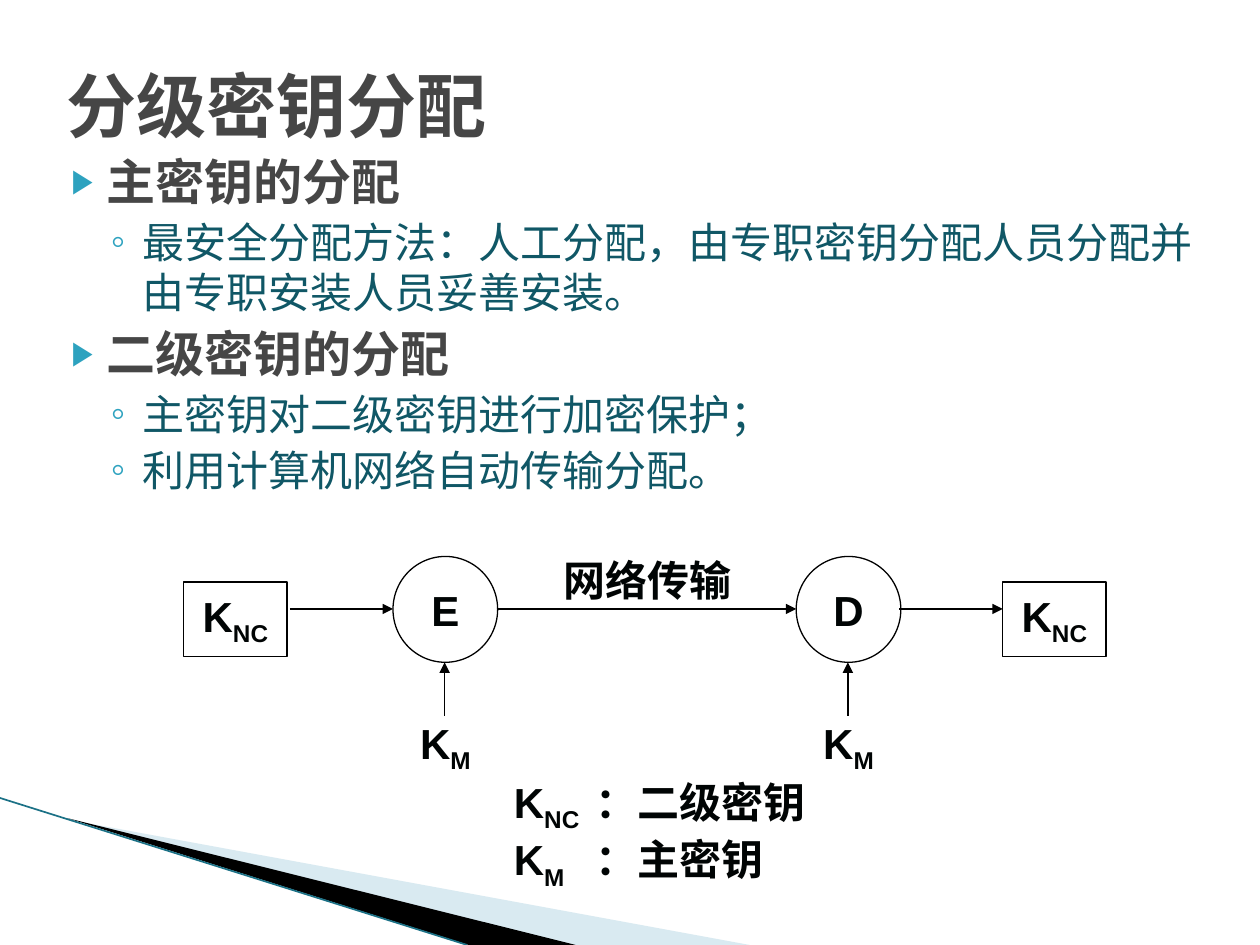
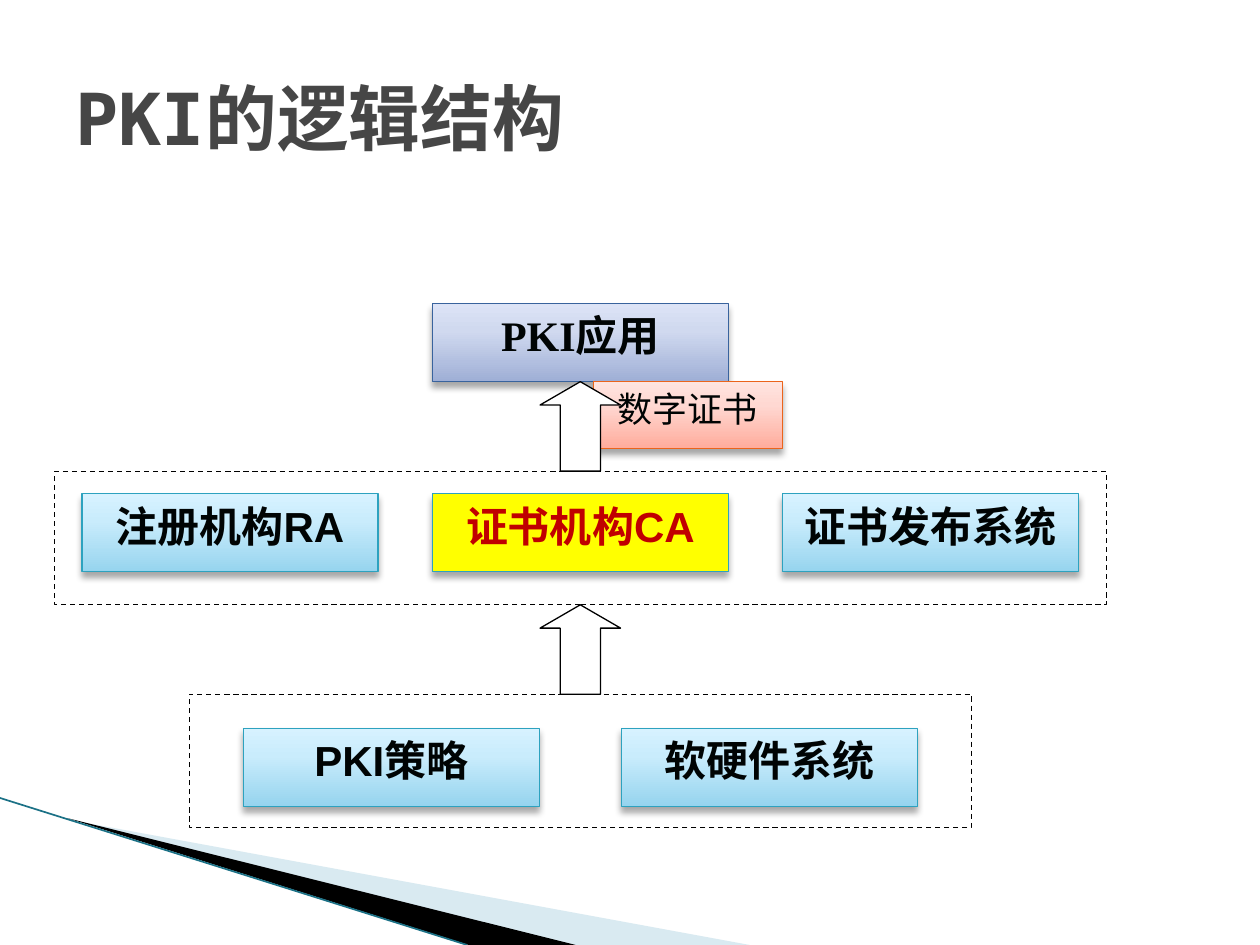
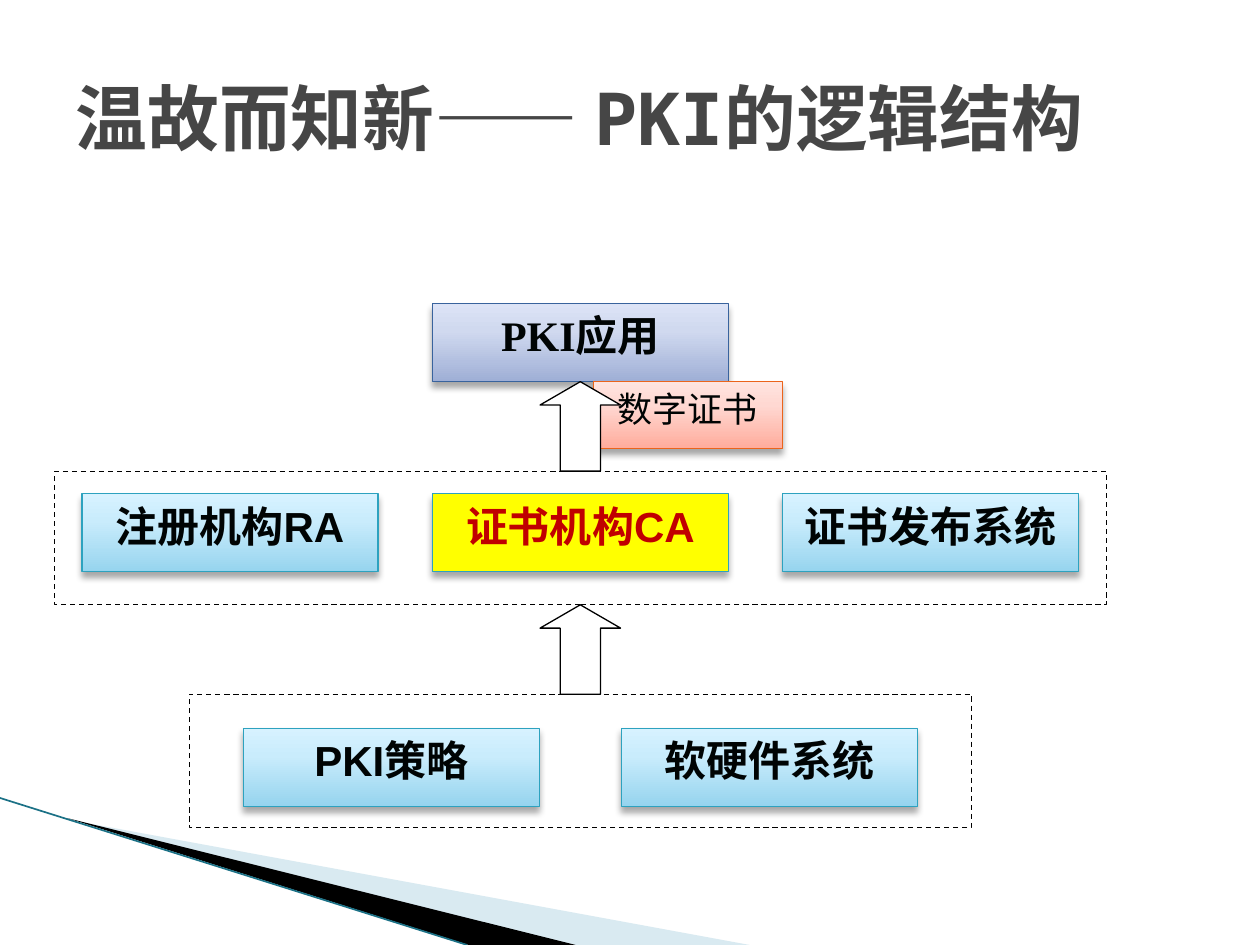
from copy import deepcopy

from lxml import etree
from pptx import Presentation
from pptx import util as u
from pptx.dml.color import RGBColor
from pptx.enum import dml, shapes, text
from pptx.oxml.ns import qn

COLORS = {
    "title": "464646", "detail": "105766", "bullet": "2DA2BF", "ink": "000404",
    "line": "000000", "white": "FFFFFF", "band": "A0CBDC", "band_edge": "1B7186",
    "highlight": "FFFF00", "highlight_text": "C00000",
    "app_line": "39639D", "certificate_line": "EB641B",
}
GRADIENTS = {
    "app": ("9FAFD6", "D0D9EF", "DCE3F6"),
    "unit": ("96D4EE", "C9ECFC", "D7F2FF"),
    "certificate": ("FFAC9C", "FFD8D2", "FFE4DF"),
}
MONO, SANS, SERIF = "DejaVu Sans Mono", "Arial", "Times New Roman"
CENTER = text.PP_ALIGN.CENTER


def rgb(name):
    """Return the named colour."""
    return RGBColor.from_string(COLORS[name])


def points(*lengths):
    """Convert numbers to lengths in points."""
    return [u.Pt(length) for length in lengths]


def add_xml(parent, tag, **attributes):
    """Append a DrawingML child element."""
    values = {name: str(value) for name, value in attributes.items()}
    return etree.SubElement(parent, qn("a:" + tag), values)


def set_font(paragraph, name, size, color="ink", bold=True):
    """Format a whole paragraph."""
    font = paragraph.font
    font.name, font.size, font.bold = name, u.Pt(size), bold
    font.color.rgb = rgb(color)


def set_line(line, color="line", width=0.75):
    """Give an outline or connector its colour and width."""
    line.color.rgb = rgb(color)
    line.width = u.Pt(width)


def write_symbol(paragraph, letter, subscript):
    """Write a letter followed by its subscript."""
    paragraph.add_run().text = letter
    run = paragraph.add_run()
    run.text = subscript
    run._r.get_or_add_rPr().set("baseline", "-25000")


def add_box(slide, kind, left, top, width, height, fill=None, line="line"):
    """Add a flat preset shape."""
    shape = slide.shapes.add_shape(kind, *points(left, top, width, height))
    shape.shadow.inherit = False
    if fill:
        shape.fill.solid()
        shape.fill.fore_color.rgb = rgb(fill)
    else:
        shape.fill.background()
    set_line(shape.line, line)
    return shape


def add_label(slide, left, top, width, height):
    """Add an empty text box."""
    label = slide.shapes.add_textbox(*points(left, top, width, height))
    label.text_frame.word_wrap = True
    return label


def fill_label(shape, label, subscript=""):
    """Write a centred diagram label into a shape."""
    frame = shape.text_frame
    frame.word_wrap = not subscript
    frame.vertical_anchor = text.MSO_ANCHOR.MIDDLE
    paragraph = frame.paragraphs[0]
    paragraph.alignment = CENTER
    set_font(paragraph, SANS, 24)
    if subscript:
        write_symbol(paragraph, label, subscript)
    else:
        paragraph.add_run().text = label


def add_line(slide, start, end, arrow=True, color="line", width=0.75):
    """Add a straight line, with an arrowhead if wanted."""
    connector = slide.shapes.add_connector(
        shapes.MSO_CONNECTOR.STRAIGHT, *points(*start, *end))
    set_line(connector.line, color, width)
    if arrow:
        add_xml(connector.line._get_or_add_ln(), "tailEnd", type="triangle")
    add_xml(connector._element.spPr, "effectLst")
    return connector


def add_band(slide, color, outline):
    """Add a filled corner band."""
    start, *others = [points(*point) for point in outline]
    builder = slide.shapes.build_freeform(*start)
    builder.add_line_segments(others)
    band = builder.convert_to_shape()
    band.shadow.inherit = False
    band.fill.solid()
    band.fill.fore_color.rgb = rgb(color)
    band.line.fill.background()
    return band


def decorate_master(presentation, slide):
    """Draw the corner bands and move them to the slide master."""
    light = add_band(slide, "band", [(39.6, 468.5), (428.4, 540), (328.3, 540)])
    color = light._element.spPr.find(qn("a:solidFill"))[0]
    add_xml(color, "alpha", val=40000)
    dark = add_band(slide, "line", [(38.4, 467.5), (329, 540), (267.8, 540)])
    edge = add_line(slide, (0, 456), (267, 540), False, "band_edge", 0.95)
    for shape in (light, dark, edge):
        presentation.slide_master.shapes.element.append(shape._element)


def set_title(slide, box, title, size):
    """Place and format the slide title."""
    shape = slide.shapes.title
    shape.left, shape.top, shape.width, shape.height = points(*box)
    frame = shape.text_frame
    frame.text = title
    frame.auto_size = text.MSO_AUTO_SIZE.NONE
    frame.vertical_anchor = text.MSO_ANCHOR.MIDDLE
    frame.paragraphs[0].alignment = text.PP_ALIGN.LEFT
    set_font(frame.paragraphs[0], MONO, size, "title")


def set_bullet(paragraph, level):
    """Give a paragraph its level's indent and bullet."""
    margin, indent, size, mark = [(28.8, -20.2, 68, "▶"), (49, -18, 100, "◦")][level]
    properties = paragraph._p.get_or_add_pPr()
    properties.set("marL", str(u.Pt(margin)))
    properties.set("indent", str(u.Pt(indent)))
    add_xml(add_xml(properties, "buClr"), "srgbClr", val=COLORS["bullet"])
    add_xml(properties, "buSzPct", val=size * 1000)
    add_xml(properties, "buFont", typeface=SANS)
    add_xml(properties, "buChar", char=mark)


def set_body(slide, box, items):
    """Fill the body placeholder with a two-level list."""
    body = slide.placeholders[1]
    body.left, body.top, body.width, body.height = points(*box)
    frame = body.text_frame
    frame.text = "\n".join(item for level, item in items)
    frame.auto_size = text.MSO_AUTO_SIZE.NONE
    for paragraph, (level, item) in zip(frame.paragraphs, items):
        paragraph.level = level
        set_bullet(paragraph, level)
        paragraph.space_before = u.Pt((4, 3.2)[level])
        if level:
            set_font(paragraph, MONO, 24, "detail", False)
        else:
            set_font(paragraph, MONO, 28, "title")


def draw_legend(slide, left, top):
    """List the meaning of the key symbols."""
    frame = add_label(slide, left, top, 199, 65.5).text_frame
    meanings = [("NC", "二级密钥"), ("M", "主密钥")]
    for index, (subscript, meaning) in enumerate(meanings):
        paragraph = frame.add_paragraph() if index else frame.paragraphs[0]
        stops = add_xml(paragraph._p.get_or_add_pPr(), "tabLst")
        add_xml(stops, "tab", pos=u.Pt(46.5), algn="l")
        set_font(paragraph, SANS, 24)
        write_symbol(paragraph, "K", subscript)
        paragraph.add_run().text = "\t：" + meaning


def draw_key_transfer(slide, left, top):
    """Draw the encrypted transfer of a second-level key."""
    for offset in (0, 468):
        key = add_box(slide, shapes.MSO_SHAPE.RECTANGLE,
                      left + offset, top + 22.5, 59, 42.5)
        fill_label(key, "K", "NC")
    for letter, offset in (("E", 119.6), ("D", 350)):
        x = left + offset
        fill_label(add_box(slide, shapes.MSO_SHAPE.OVAL, x, top + 8, 59.8, 60.5), letter)
        add_line(slide, (x + 29.5, top + 99), (x + 29.5, top + 68.5))
        fill_label(add_label(slide, x + 5, top + 91, 49.7, 50.4), "K", "M")
    for start, end in ((60.6, 119.6), (179, 350), (409, 468)):
        add_line(slide, (left + start, top + 38), (left + end, top + 38))
    fill_label(add_label(slide, left + 205, top, 120, 42.5), "网络传输")
    draw_legend(slide, left + 181.6, top + 130)


def add_card(slide, box, label, gradient="unit", line="bullet", font=SANS,
             size=24, color="ink", bold=True):
    """Add a shadowed card with a gradient, or highlighted without one."""
    card = add_box(slide, shapes.MSO_SHAPE.RECTANGLE, *box, "highlight", line)
    properties = card._element.spPr
    if gradient:
        card.fill.gradient()
        card.fill.gradient_angle = 90
        stops = properties.find(qn("a:gradFill")).find(qn("a:gsLst"))
        stops.append(deepcopy(stops[0]))
        for stop, position, shade in zip(
                card.fill.gradient_stops, (0, 0.65, 1), GRADIENTS[gradient]):
            stop.position = position
            stop.color.rgb = RGBColor.from_string(shade)
    shadow = add_xml(properties.find(qn("a:effectLst")), "outerShdw", blurRad=u.Pt(4),
                     dist=u.Pt(3), dir=5400000, rotWithShape=0)
    add_xml(add_xml(shadow, "srgbClr", val=COLORS["line"]), "alpha", val=35000)
    frame = card.text_frame
    frame.text = label
    frame.vertical_anchor = text.MSO_ANCHOR.TOP
    frame.paragraphs[0].alignment = CENTER
    set_font(frame.paragraphs[0], font, size, color, bold)


def add_card_row(slide, center, top, labels, pitch):
    """Place a row of cards around a centre line."""
    first = center - (len(labels) - 1) * pitch / 2 - 84.6
    for index, label in enumerate(labels):
        style = {}
        if label == "证书机构CA":
            style = {"gradient": None, "color": "highlight_text"}
        add_card(slide, (first + index * pitch, top, 169.2, 44.6), label, **style)


def draw_pki_structure(slide, left, top, width):
    """Draw the three layers of the PKI structure."""
    center = left + width / 2
    for frame_width, offset in ((447, 223.2), (width, 95.8)):
        frame = add_box(slide, shapes.MSO_SHAPE.RECTANGLE, center - frame_width / 2,
                        top + offset, frame_width, 76.3, "white")
        frame.line.dash_style = dml.MSO_LINE.DASH
    add_card(slide, (center - 84.6, top, 169.2, 44.6), "PKI应用", "app", "app_line", SERIF)
    add_card_row(slide, center, top + 108.7,
                 ["注册机构RA", "证书机构CA", "证书发布系统"], 200.2)
    add_card_row(slide, center, top + 242.7, ["PKI策略", "软硬件系统"], 216)
    add_card(slide, (center + 7.5, top + 44.6, 108, 38.2), "数字证书", "certificate",
             "certificate_line", SERIF, 20, bold=False)
    for offset in (44.6, 172.1):
        arrow = add_box(slide, shapes.MSO_SHAPE.UP_ARROW, center - 23, top + offset,
                        46, 51.1, "white")
        arrow.adjustments[1] = 0.29


def build_key_slide(presentation):
    """Build the slide on hierarchical key distribution."""
    slide = presentation.slides.add_slide(presentation.slide_layouts[1])
    decorate_master(presentation, slide)
    set_title(slide, (31, 15, 672.5, 90), "分级密钥分配", 40)
    set_body(slide, (25, 83, 672.5, 215), [
        (0, "主密钥的分配"),
        (1, "最安全分配方法：人工分配，由专职密钥分配人员分配并由专职安装人员妥善安装。"),
        (0, "二级密钥的分配"),
        (1, "主密钥对二级密钥进行加密保护；"),
        (1, "利用计算机网络自动传输分配。"),
    ])
    draw_key_transfer(slide, 105, 310)


def build_pki_slide(presentation, title):
    """Build a slide showing the PKI structure."""
    slide = presentation.slides.add_slide(presentation.slide_layouts[5])
    set_title(slide, (36, 21.6, 648, 90), title, 41)
    draw_pki_structure(slide, 31, 173.5, 601.2)


def main():
    """Build and save the presentation."""
    presentation = Presentation()
    presentation.slide_width, presentation.slide_height = points(720, 540)
    build_key_slide(presentation)
    for title in ("PKI的逻辑结构", "温故而知新—— PKI的逻辑结构"):
        build_pki_slide(presentation, title)
    presentation.save("out.pptx")


if __name__ == "__main__":
    main()
